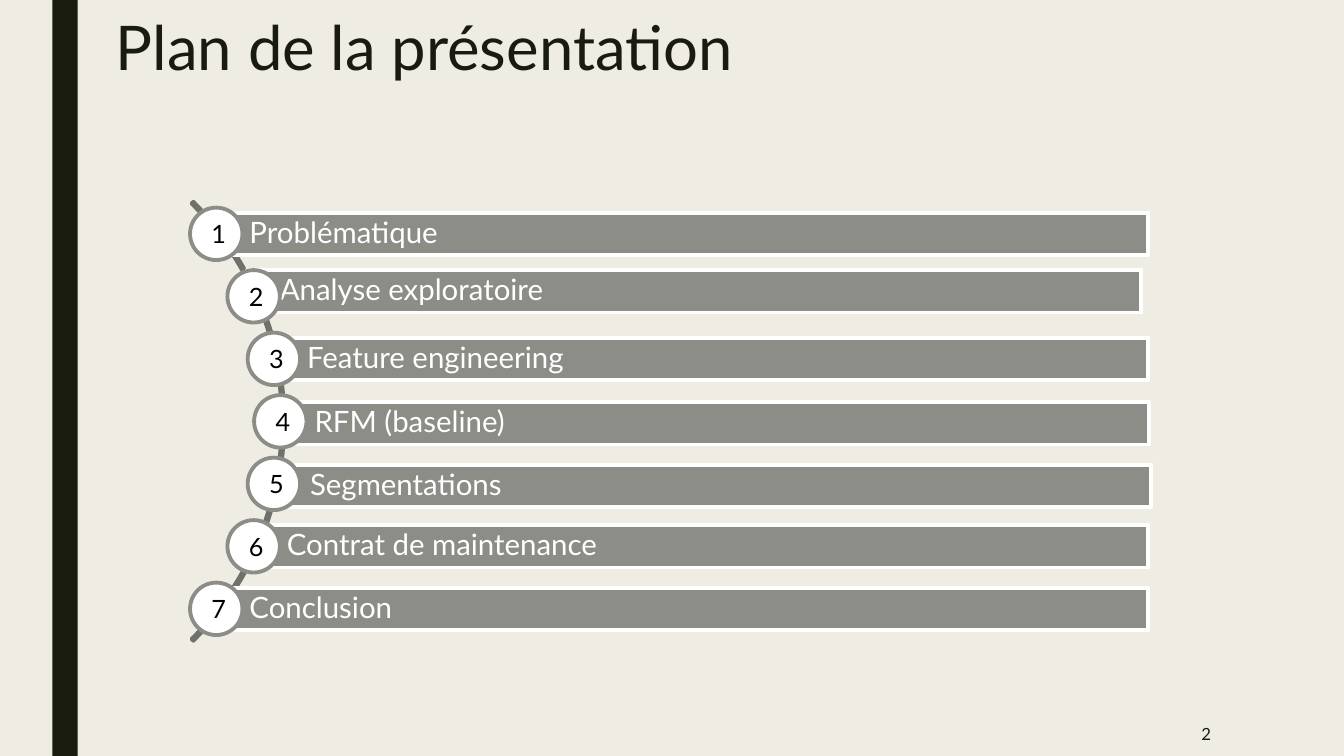
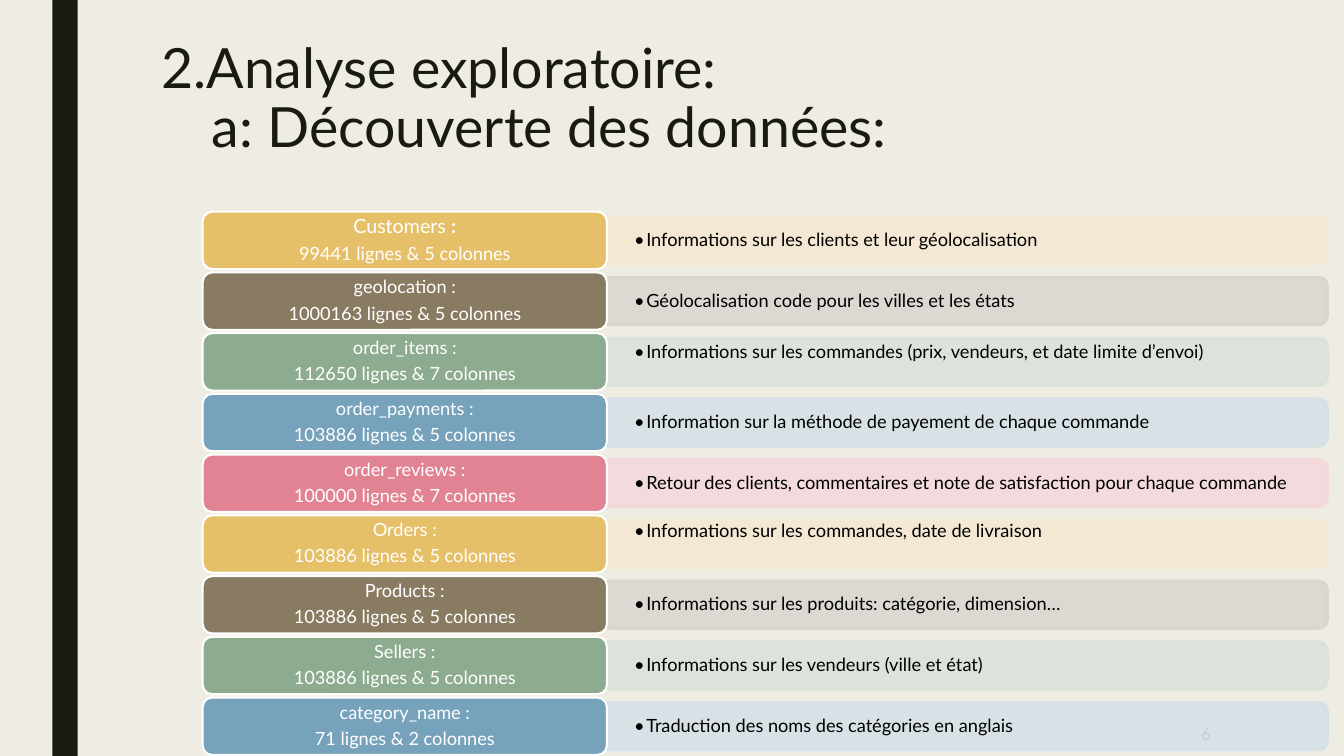
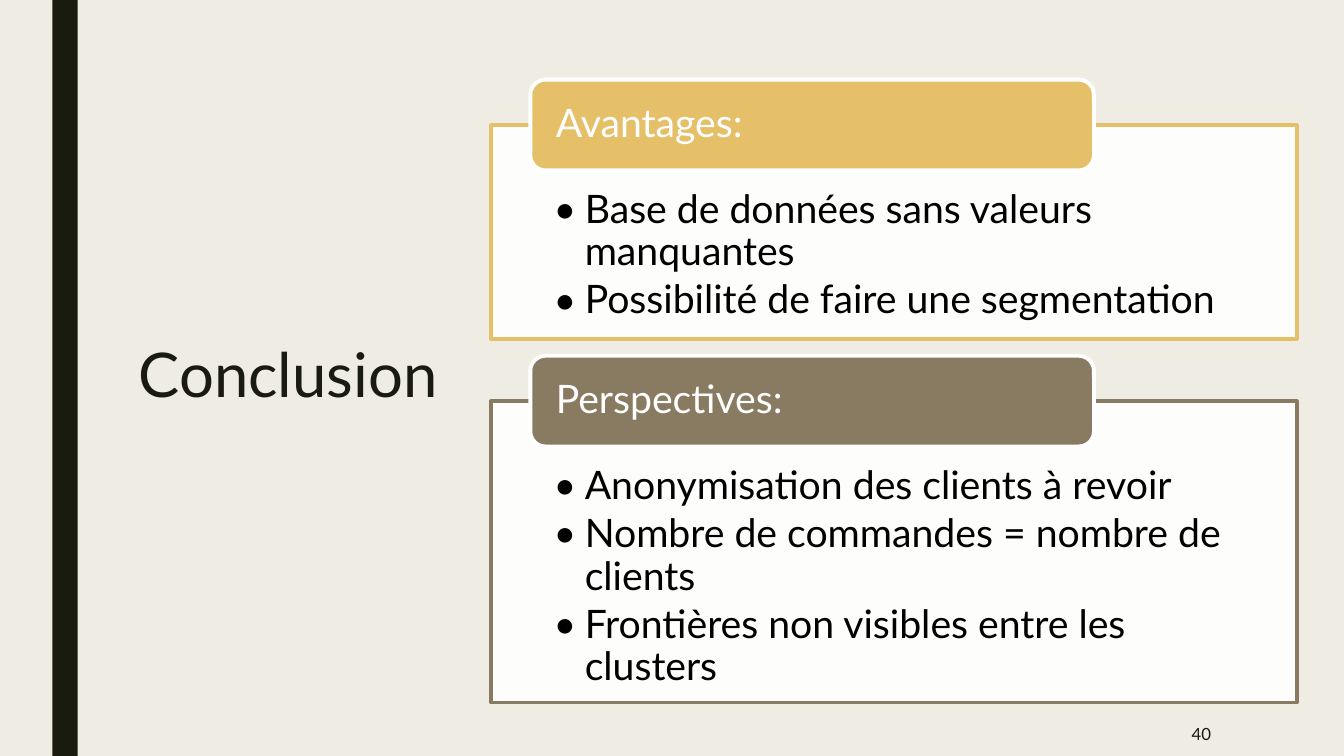
"""Build three slides: the plan, the data discovery and the conclusion."""
import math

import pptx
import pptx.util
import pptx.dml.color
import pptx.enum.shapes
import pptx.enum.text
import pptx.oxml.ns
from lxml import etree

W, H = 13.33, 7.5
FONT = "Lato"
C = {
    "paper": "EFEDE3", "ink": "191B0E", "white": "FFFFFF", "black": "000000",
    "bar": "8C8D86", "arc": "70716B", "ghost": "C6CCD2",
    "gold": "E6C069", "brown": "897B61", "green": "8DAB8E", "blue": "77A2BB", "pink": "E28394",
    "gold_tint": "F5E8D4", "brown_tint": "DAD7D2", "green_tint": "DBE2DB",
    "blue_tint": "D6E0E7", "pink_tint": "F4D9DC",
}
SHAPE = pptx.enum.shapes.MSO_SHAPE
ALIGN = pptx.enum.text.PP_ALIGN
ANCHOR = pptx.enum.text.MSO_ANCHOR
inch, pt, qn = pptx.util.Inches, pptx.util.Pt, pptx.oxml.ns.qn

# Each step: label, then the shift of its bar across and down
PLAN = [
    ("Problématique", 0, 0),
    ("Analyse exploratoire", -0.07, -0.05),
    ("Feature\u00a0engineering", 0, 0),
    ("RFM (baseline)", 0.01, 0.02),
    ("Segmentations", 0.03, 0.02),
    ("Contrat de maintenance", 0, 0),
    ("Conclusion", 0, 0),
]
# Each table: name, size, description, colour, lift of the description
TABLES = [
    ("Customers", "99441 lignes & 5 colonnes",
     "Informations sur les clients et leur géolocalisation", "gold", 0),
    ("geolocation", "1000163 lignes & 5 colonnes",
     "Géolocalisation code pour les villes et les états", "brown", 0),
    ("order_items", "112650 lignes & 7 colonnes",
     "Informations sur les commandes (prix, vendeurs, et date limite d’envoi)", "green", 0.09),
    ("order_payments", "103886 lignes & 5 colonnes",
     "Information sur la méthode de payement de chaque commande", "blue", 0),
    ("order_reviews", "100000 lignes & 7 colonnes",
     "Retour des clients, commentaires et note de satisfaction pour chaque commande", "pink", 0),
    ("Orders", "103886 lignes & 5 colonnes",
     "Informations sur les commandes, date de livraison", "gold", 0.12),
    ("Products", "103886 lignes & 5 colonnes",
     "Informations sur les produits: catégorie, dimension…", "brown", 0),
    ("Sellers", "103886 lignes & 5 colonnes",
     "Informations sur les vendeurs (ville et état)", "green", 0),
    ("category_name", "71 lignes & 2 colonnes",
     "Traduction des noms des catégories en anglais", "blue", 0),
]
# Each panel: heading, colour, top, height, points
PANELS = [
    ("Avantages:", "gold", 1.24, 2.12,
     ["Base de données sans valeurs manquantes", "Possibilité de faire une segmentation"]),
    ("Perspectives:", "brown", 3.98, 2.99,
     ["Anonymisation des clients à revoir", "Nombre de commandes = nombre de clients",
      "Frontières non visibles entre les clusters"]),
]


def rgb(name):
    return pptx.dml.color.RGBColor.from_string(C[name])


def place(s, kind, box, fill=None, line=None, width=2.75, alpha=None):
    sp = s.shapes.add_shape(kind, *map(inch, box))
    sp.shadow.inherit = False
    if fill:
        sp.fill.solid()
        sp.fill.fore_color.rgb = rgb(fill)
    else:
        sp.fill.background()
    if alpha:
        color = sp.element.spPr.find(qn("a:solidFill"))[0]
        etree.SubElement(color, qn("a:alpha")).set("val", str(alpha * 1000))
    if line:
        sp.line.color.rgb = rgb(line)
        sp.line.width = pt(width)
    else:
        sp.line.fill.background()
    return sp


def setup(sp, anchor, ins=(0.1, 0.05, 0.1, 0.05)):
    tf = sp.text_frame
    tf.word_wrap = True
    tf.auto_size = pptx.enum.text.MSO_AUTO_SIZE.NONE
    tf.vertical_anchor = anchor
    tf.margin_left, tf.margin_top, tf.margin_right, tf.margin_bottom = map(inch, ins)
    return tf


def style(p, size, color, align=ALIGN.LEFT, spacing=0.9, after=0, hang=0):
    p.alignment, p.line_spacing = align, spacing
    p.space_before, p.space_after = pt(0), pt(size * after)
    for r in p.runs:
        r.font.name, r.font.size, r.font.color.rgb = FONT, pt(size), rgb(color)
    if hang:
        ppr = p._p.get_or_add_pPr()
        ppr.set("marL", str(inch(hang)))
        ppr.set("indent", str(-inch(hang)))
        etree.SubElement(ppr, qn("a:buFont")).set("typeface", FONT)
        etree.SubElement(ppr, qn("a:buChar")).set("char", "•")


def write(tf, lines, *args, **kwargs):
    for i, line in enumerate(lines):
        p = tf.add_paragraph() if i else tf.paragraphs[0]
        p.text = line
        style(p, *args, **kwargs)


def textbox(s, box, anchor, ins=(0.1, 0.05, 0.1, 0.05)):
    return setup(s.shapes.add_textbox(*map(inch, box)), anchor, ins)


def new_slide(prs, title, box, number, size=44, anchor=ANCHOR.TOP, align=ALIGN.LEFT):
    s = prs.slides.add_slide(prs.slide_layouts[5])
    sp = s.shapes.title
    sp.left, sp.top, sp.width, sp.height = map(inch, box)
    write(setup(sp, anchor), [title], size, "ink", align, spacing=0.89)
    return s


def add_number(s, number, color="ink"):
    tf = textbox(s, (10.36, 7.06, 1.75, 0.44), ANCHOR.MIDDLE)
    write(tf, [number], 12, color, ALIGN.RIGHT, spacing=1)


def build_master(prs, s):
    master = prs.slide_master
    master.background.fill.solid()
    master.background.fill.fore_color.rgb = rgb("paper")
    band = place(s, SHAPE.RECTANGLE, (0.52, 0, 0.25, H), "ink")
    master.shapes.element.insert(2, band.element)


def build_plan(s):
    arc_x, arc_y, arc_r = -0.26, 4.18, 3.08
    track, step, d, bar_h, right = 3.04, 0.62, 0.52, 0.42, 11.39
    arc = place(s, SHAPE.BLOCK_ARC, (arc_x - arc_r, arc_y - arc_r, 2 * arc_r, 2 * arc_r), line="arc")
    for i, value in enumerate((189, 27, 0.004)):
        arc.adjustments[i] = value
    for i, (label, dx, dy) in enumerate(PLAN):
        drop = (i - len(PLAN) // 2) * step
        x, y = arc_x + math.sqrt(track ** 2 - drop ** 2), arc_y + drop
        bar = place(s, SHAPE.RECTANGLE, (x + dx, y - bar_h / 2 + dy, right - x, bar_h), "bar", "white")
        write(setup(bar, ANCHOR.MIDDLE, (0.33, 0.06, 0.06, 0.06)), [label], 21, "white", after=0.35)
        dot = place(s, SHAPE.OVAL, (x - d / 2, y - d / 2, d, d), "white", "bar")
        tf = setup(dot, ANCHOR.MIDDLE, (0.05, 0, 0, 0))
        write(tf, [str(i + 1)], 18, "black", ALIGN.CENTER, spacing=1)


def build_tables(s):
    left, top, pitch, label_w, label_h = 2.01, 2.1, 0.6025, 4.01, 0.57
    strip_w, strip_h = 7.14, 0.46
    x = left + label_w
    for i, (name, size, about, color, lift) in enumerate(TABLES):
        y = top + i * pitch
        mid = y + label_h / 2
        strip = place(s, SHAPE.ROUND_2_SAME_RECTANGLE,
                      (x + (strip_w - strip_h) / 2, mid - strip_w / 2, strip_h, strip_w),
                      color + "_tint", color + "_tint", alpha=90)
        strip.rotation = 90
        tf = textbox(s, (x, y + 0.08 - lift, 7.11, 0.41), ANCHOR.MIDDLE, (0.27, 0, 0.27, 0))
        write(tf, [about], 13, "black", after=0.15, hang=0.12)
        label = place(s, SHAPE.ROUNDED_RECTANGLE, (left, y, label_w, label_h), color, "white", 1.5)
        tf = setup(label, ANCHOR.MIDDLE, (0.05, 0.03, 0.05, 0.03))
        write(tf, [name + " ", size], 13, "white", ALIGN.CENTER, after=0.35)
        p = tf.paragraphs[0]
        colon = p.add_run()
        colon.text, colon.font.bold = ":", i == 0
        style(p, 13 if i else 14, "white", ALIGN.CENTER, after=0.35)


def build_conclusion(s):
    for heading, color, top, height, points in PANELS:
        panel = place(s, SHAPE.RECTANGLE, (4.87, top, 7.99, height), "white", color, alpha=90)
        tf = setup(panel, ANCHOR.TOP, (0.62, 0.64, 0.62, 0.22))
        write(tf, points, 28, "black", after=0.15, hang=0.31)
        tab = place(s, SHAPE.ROUNDED_RECTANGLE, (5.26, top - 0.45, 5.59, 0.9), color, "white")
        tf = setup(tab, ANCHOR.MIDDLE, (0.21, 0, 0.21, 0))
        write(tf, [heading], 28, "white", after=0.35)


def main():
    prs = pptx.Presentation()
    prs.slide_width, prs.slide_height = inch(W), inch(H)

    s = new_slide(prs, "Plan de la présentation", (1.05, 0.13, 10.5, 1.62), "2")
    build_master(prs, s)
    build_plan(s)
    add_number(s, "2")

    s = new_slide(prs, "2.Analyse exploratoire:\v\ta: Découverte des données:",
                  (1.5, 0.36, 10.5, 1.62), "6", size=39.6)
    build_tables(s)
    add_number(s, "6", "ghost")

    s = new_slide(prs, "Conclusion", (0.7, 0.7, 4.32, 6.1), "40",
                  anchor=ANCHOR.MIDDLE, align=ALIGN.CENTER)
    build_conclusion(s)
    add_number(s, "40")

    prs.save("out.pptx")


if __name__ == "__main__":
    main()
